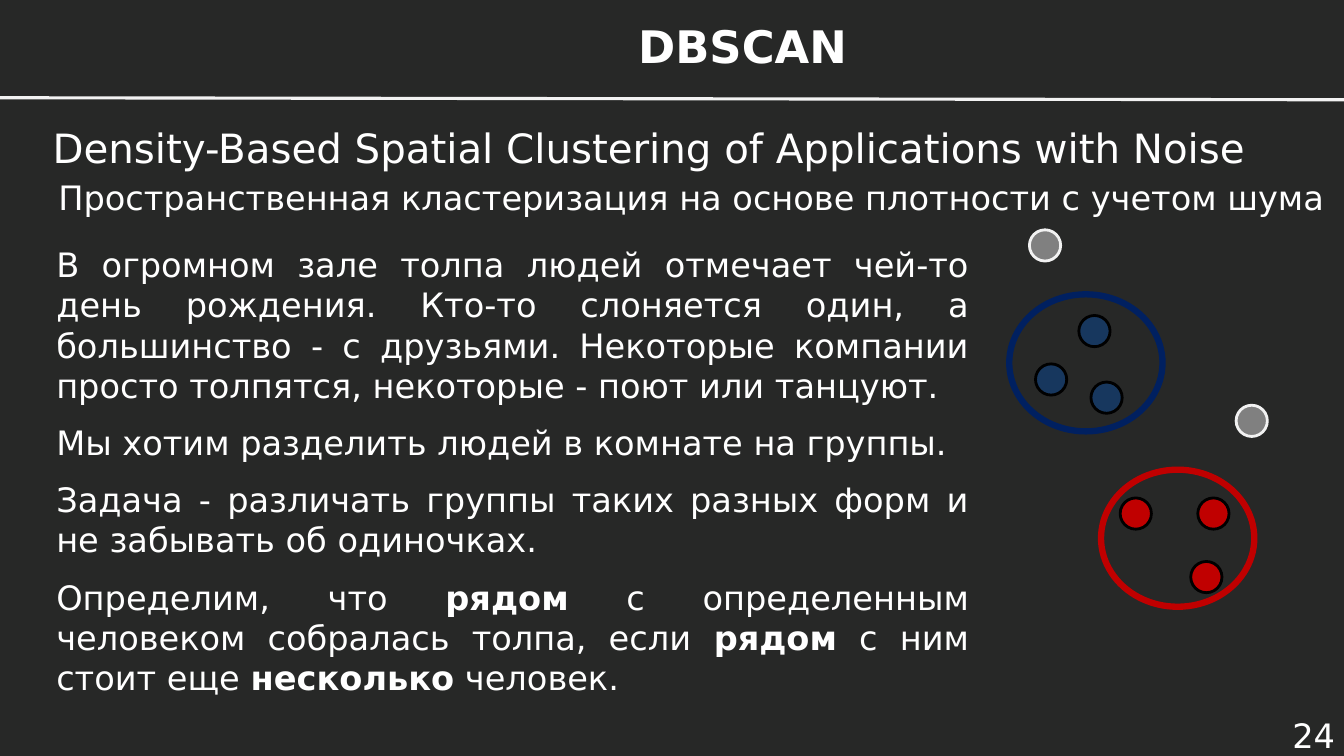
from lxml.etree import SubElement
from pptx import Presentation
from pptx.dml.color import RGBColor
from pptx.enum.shapes import MSO_CONNECTOR, MSO_SHAPE
from pptx.enum.text import MSO_ANCHOR, PP_ALIGN
from pptx.oxml.ns import qn
from pptx.util import Inches, Pt

BACKGROUND = RGBColor(0x27, 0x28, 0x27)
WHITE = RGBColor(0xFF, 0xFF, 0xFF)
PALE = RGBColor(0xF2, 0xF2, 0xF2)
BLACK = RGBColor(0x00, 0x00, 0x00)
GRAY = RGBColor(0x80, 0x80, 0x80)
RED = RGBColor(0xC0, 0x00, 0x00)
BLUE = RGBColor(0x17, 0x37, 0x5E)
NAVY = RGBColor(0x00, 0x20, 0x60)

PERSON_SIZE = 0.31
GROUP_WIDTH, GROUP_HEIGHT = 1.52, 1.36

# Each paragraph is split at "*": every second piece is bold
STORY = [
    "В огромном зале толпа людей отмечает чей-то день рождения. Кто-то слоняется один, "
    "а большинство - с друзьями. Некоторые компании просто толпятся, некоторые - поют или танцуют.",
    "Мы хотим разделить людей в комнате на группы.",
    "Задача - различать группы таких разных форм и не забывать об одиночках.",
    "Определим, что *рядом* с определенным человеком собралась толпа, "
    "если *рядом* с ним стоит еще *несколько* человек.",
]

# Fill, outline and positions of the people
PEOPLE = [
    (RED, BLACK, [(11.11, 4.94), (11.88, 4.94), (11.81, 5.57)]),
    (BLUE, BLACK, [(10.7, 3.13), (10.27, 3.61), (10.82, 3.79)]),
    (GRAY, PALE, [(10.21, 2.28), (12.26, 4.02)]),
]
GROUPS = [(RED, 10.92, 4.66), (NAVY, 10.01, 2.92)]


class SlideBuilder:
    font = "DejaVu Sans"

    def __init__(self, deck):
        self.page = deck.slides.add_slide(deck.slide_layouts[6])
        fill = self.page.background.fill
        fill.solid()
        fill.fore_color.rgb = BACKGROUND

    def text(self, left, top, width, height, paragraphs, size=24, bold=False,
             align=PP_ALIGN.LEFT, anchor=MSO_ANCHOR.TOP, after=0):
        box = self.page.shapes.add_textbox(
            Inches(left), Inches(top), Inches(width), Inches(height))
        frame = box.text_frame
        frame.word_wrap = True
        frame.vertical_anchor = anchor
        for index, content in enumerate(paragraphs):
            para = frame.add_paragraph() if index else frame.paragraphs[0]
            para.alignment = align
            para.space_after = Pt(after)
            para.font.name = self.font
            para.font.size = Pt(size)
            para.font.bold = bold
            para.font.color.rgb = WHITE
            for position, piece in enumerate(content.split("*")):
                span = para.add_run()
                span.text = piece
                if position % 2:
                    span.font.bold = True

    def line(self, start, end, color, width):
        line = self.page.shapes.add_connector(
            MSO_CONNECTOR.STRAIGHT, *map(Inches, start + end))
        line.line.color.rgb = color
        line.line.width = Pt(width)
        SubElement(line._element.spPr, qn("a:effectLst"))

    def ellipse(self, left, top, width, height, outline, weight, fill=None):
        oval = self.page.shapes.add_shape(
            MSO_SHAPE.OVAL, Inches(left), Inches(top), Inches(width), Inches(height))
        oval.shadow.inherit = False
        oval.line.color.rgb = outline
        oval.line.width = Pt(weight)
        if fill is None:
            oval.fill.background()
        else:
            oval.fill.solid()
            oval.fill.fore_color.rgb = fill


def main():
    deck = Presentation()
    deck.slide_width, deck.slide_height = Inches(13.33), Inches(7.5)
    slide = SlideBuilder(deck)

    # Header and page number
    slide.text(3.44, 0.19, 7.85, 0.53, ["DBSCAN"], size=32, bold=True,
               align=PP_ALIGN.CENTER, anchor=MSO_ANCHOR.MIDDLE)
    slide.line((0, 0.97), (13.33, 0.99), PALE, 2.25)
    slide.text(12.29, 7.08, 1.05, 0.42, ["24"],
               align=PP_ALIGN.RIGHT, anchor=MSO_ANCHOR.MIDDLE)

    # Full name of the method and its translation
    slide.text(0.22, 1.01, 12.44, 0.91,
               ["Density-Based Spatial Clustering of Applications with Noise"],
               size=28.8, align=PP_ALIGN.CENTER, anchor=MSO_ANCHOR.MIDDLE)
    slide.text(0.48, 1.71, 12.86, 0.5,
               ["Пространственная кластеризация на основе плотности с учетом шума"])

    # Explanation
    slide.text(0.46, 2.37, 9.25, 4.64, STORY, align=PP_ALIGN.JUSTIFY, after=12)

    # People and the groups they form
    for fill, outline, places in PEOPLE:
        for left, top in places:
            slide.ellipse(left, top, PERSON_SIZE, PERSON_SIZE, outline, 2, fill)
    for color, left, top in GROUPS:
        slide.ellipse(left, top, GROUP_WIDTH, GROUP_HEIGHT, color, 4.5)

    deck.save("out.pptx")


if __name__ == "__main__":
    main()
